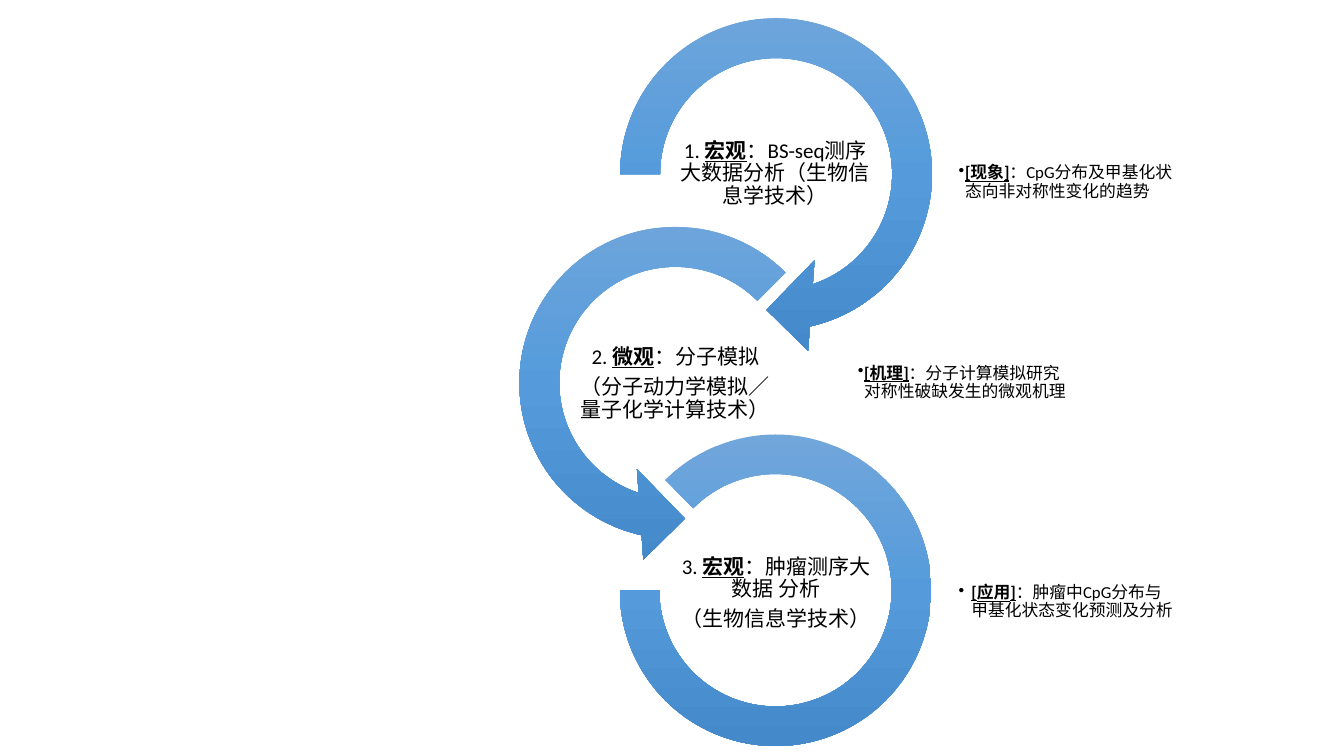
import copy
from dataclasses import dataclass

import pptx
import pptx.dml.color
import pptx.enum.shapes
import pptx.enum.text
import pptx.oxml
import pptx.oxml.ns
import pptx.util
from pptx.util import Cm

COLORS = {"light": "71A6DB", "middle": "559BDB", "dark": "448ACA", "text": "000000"}
FONT = "Calibri"
SHAPE = pptx.enum.shapes.MSO_SHAPE
LABEL_SIZE = (5.08, 2.54)
NOTE_SIZE = (5.49, 3.66)
INSET = 0.03

Run = tuple[str, bool]  # text, emphasised (bold and underlined)


@dataclass
class Stage:
    """One ring with its label and side note; lengths in centimetres."""
    ring: pptx.enum.shapes.MSO_SHAPE
    ring_position: tuple[float, float]
    ring_size: float
    adjustments: tuple[float, ...]
    label_position: tuple[float, float]
    label: list[list[Run]]
    note_position: tuple[float, float]
    note: list[Run]
    note_indent: float


STAGES = [
    Stage(SHAPE.CIRCULAR_ARROW, (14.99, -0.18), 9.14, (0.11, 11.42, 45, 108, 0.125),
          (17, 3.12),
          [[("1. ", False), ("宏观", True), ("：BS-seq测序大数据分析（生物信息学技术）", False)]],
          (24.13, 2.77),
          [("[现象]", True), ("：CpG分布及甲基化状态向非对称性变化的趋势", False)], 0.16),
    Stage(SHAPE.LEFT_CIRCULAR_ARROW, (12.45, 5.08), 9.14, (0.11, 11.42, 63, 189, 0.125),
          (14.48, 8.41),
          [[("2. ", False), ("微观", True), ("：分子模拟", False)],
           [("（分子动力学模拟／量子化学计算技术）", False)]],
          (21.59, 7.82),
          [("[机理]", True), ("：分子计算模拟研究对称性破缺发生的微观机理", False)], 0.16),
    Stage(SHAPE.BLOCK_ARC, (15.62, 10.95), 7.85, (135, 108, 0.127),
          (17.02, 13.69),
          [[("3. ", False), ("宏观", True), ("：肿瘤测序大数据 分析", False)],
           [("（生物信息学技术）", False)]],
          (24.13, 13.35),
          [("[应用]", True), ("：肿瘤中CpG分布与甲基化状态变化预测及分析", False)], 0.32),
]


def rgb(name: str) -> pptx.dml.color.RGBColor:
    return pptx.dml.color.RGBColor.from_string(COLORS[name])


def add_ring(shapes, stage: Stage) -> None:
    left, top = stage.ring_position
    ring = shapes.add_shape(stage.ring, Cm(left), Cm(top),
                            Cm(stage.ring_size), Cm(stage.ring_size))
    for index, value in enumerate(stage.adjustments):
        ring.adjustments[index] = value
    ring.shadow.inherit = False
    ring.line.fill.background()

    # Vertical gradient with three stops
    ring.fill.gradient()
    ring.fill.gradient_angle = 270
    stop_list = ring.fill._fill._gradFill.gsLst
    stop_list.append(copy.deepcopy(stop_list[-1]))
    for stop, position, name in zip(ring.fill.gradient_stops, (0, 0.5, 1),
                                    ("light", "middle", "dark")):
        stop.position = position
        stop.color.rgb = rgb(name)


def add_text_frame(shapes, position: tuple[float, float], size: tuple[float, float]):
    frame = shapes.add_textbox(*map(Cm, position + size)).text_frame
    frame.word_wrap = True
    frame.vertical_anchor = pptx.enum.text.MSO_ANCHOR.MIDDLE
    frame.margin_left = frame.margin_right = Cm(INSET)
    frame.margin_top = frame.margin_bottom = Cm(INSET)
    return frame


def fill_paragraph(paragraph, runs: list[Run], size: float, space_after: float) -> None:
    paragraph.line_spacing = 0.9
    paragraph.space_after = pptx.util.Pt(space_after)
    paragraph.font.name = FONT
    paragraph.font.size = pptx.util.Pt(size)
    paragraph.font.color.rgb = rgb("text")
    for text, emphasised in runs:
        run = paragraph.add_run()
        run.text = text
        if emphasised:
            run.font.bold = run.font.underline = True


def add_label(shapes, stage: Stage) -> None:
    frame = add_text_frame(shapes, stage.label_position, LABEL_SIZE)
    for index, runs in enumerate(stage.label):
        paragraph = frame.add_paragraph() if index else frame.paragraphs[0]
        paragraph.alignment = pptx.enum.text.PP_ALIGN.CENTER
        fill_paragraph(paragraph, runs, 15, 5.25)


def add_note(shapes, stage: Stage) -> None:
    paragraph = add_text_frame(shapes, stage.note_position, NOTE_SIZE).paragraphs[0]
    paragraph.level = 1
    properties = paragraph._p.get_or_add_pPr()
    properties.set("marL", str(Cm(stage.note_indent)))
    properties.set("indent", str(-Cm(stage.note_indent)))
    bullet = pptx.oxml.parse_xml(f'<a:buChar {pptx.oxml.ns.nsdecls("a")} char="•"/>')
    properties.append(bullet)
    fill_paragraph(paragraph, stage.note, 12, 1.8)


def main() -> None:
    presentation = pptx.Presentation()
    presentation.slide_width, presentation.slide_height = Cm(33.87), Cm(19.05)
    slide = presentation.slides.add_slide(presentation.slide_layouts[6])

    # Chain of rings, each with its label and side note
    chain = slide.shapes.add_group_shape()
    for stage in STAGES:
        add_ring(chain.shapes, stage)
        add_note(chain.shapes, stage)
        add_label(chain.shapes, stage)

    presentation.save("out.pptx")


if __name__ == "__main__":
    main()
